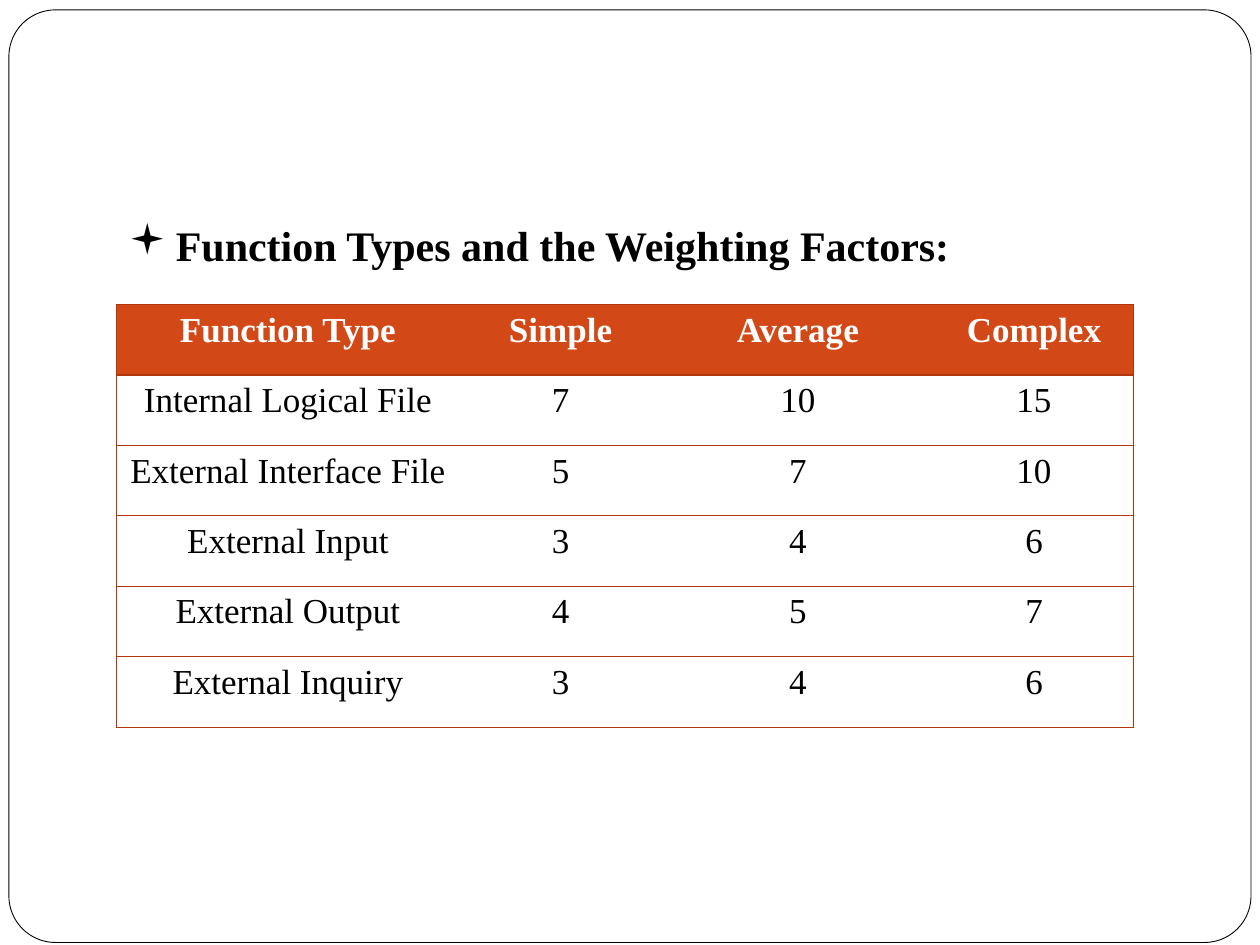
from lxml.etree import SubElement
from pptx import Presentation
from pptx.dml.color import RGBColor
from pptx.enum.shapes import MSO_SHAPE
from pptx.enum.text import MSO_ANCHOR, PP_ALIGN
from pptx.oxml.ns import qn
from pptx.util import Cm, Pt

TITLE = "Function Types and the Weighting Factors:"
ROWS = [
    ("Function Type", "Simple", "Average", "Complex"),
    ("Internal Logical File", "7", "10", "15"),
    ("External Interface File", "5", "7", "10"),
    ("External Input", "3", "4", "6"),
    ("External Output", "4", "5", "7"),
    ("External Inquiry", "3", "4", "6"),
]
COLUMN_WIDTHS = [6.93, 4.06, 5.51, 4.01]
ROW_HEIGHT = 1.42
FONT = "Times New Roman"
BLACK, WHITE, ORANGE, RUST = "000000", "FFFFFF", "D34817", "B1360B"


def paint(color_format, color):
    color_format.rgb = RGBColor.from_string(color)


def fill(target, color):
    target.fill.solid()
    paint(target.fill.fore_color, color)


def style(para, size, color, bold):
    para.font.name = FONT
    para.font.size = Pt(size)
    para.font.bold = bold
    paint(para.font.color, color)


def set_borders(cell, visible_sides):
    properties = cell._tc.get_or_add_tcPr()
    for index, side in enumerate("LRTB"):
        line = SubElement(properties, qn(f"a:ln{side}"), w=str(Pt(0.75)))
        if side in visible_sides:
            solid = SubElement(line, qn("a:solidFill"))
            SubElement(solid, qn("a:srgbClr"), val=RUST)
        else:
            SubElement(line, qn("a:noFill"))
        properties.insert(index, line)


def add_frame(page):
    frame = page.shapes.add_shape(
        MSO_SHAPE.ROUNDED_RECTANGLE, Cm(0.18), Cm(0.2), Cm(25.04), Cm(18.8))
    frame.adjustments[0] = 0.05
    frame.shadow.inherit = False
    fill(frame, WHITE)
    paint(frame.line.color, BLACK)
    frame.line.width = Pt(0.5)
    page.shapes._spTree.insert(2, frame._element)


def add_title(page):
    title = page.shapes.title
    title.left, title.top, title.width, title.height = (
        Cm(2.34), Cm(2.51), Cm(21.59), Cm(3.18))
    box = title.text_frame
    box.text = TITLE
    box.word_wrap = True
    box.vertical_anchor = MSO_ANCHOR.BOTTOM
    box.margin_bottom = Cm(0.25)
    para = box.paragraphs[0]
    para.alignment = PP_ALIGN.LEFT
    properties = para._p.get_or_add_pPr()
    properties.set("marL", str(Cm(0.95)))
    properties.set("indent", str(-Cm(0.95)))
    SubElement(properties, qn("a:buFont"), typeface="Wingdings")
    SubElement(properties, qn("a:buChar"), char="▪")
    style(para, 24, BLACK, True)


def add_factors(page):
    table = page.shapes.add_table(
        len(ROWS), len(COLUMN_WIDTHS), Cm(2.34), Cm(6.14),
        Cm(sum(COLUMN_WIDTHS)), Cm(ROW_HEIGHT * len(ROWS))).table
    table.horz_banding = False
    for column, width in zip(table.columns, COLUMN_WIDTHS):
        column.width = Cm(width)
    for row_index, values in enumerate(ROWS):
        header = row_index == 0
        for column_index, value in enumerate(values):
            cell = table.cell(row_index, column_index)
            cell.text = value
            fill(cell, ORANGE if header else WHITE)
            sides = "TB"
            if column_index == 0:
                sides += "L"
            if column_index == len(values) - 1:
                sides += "R"
            set_borders(cell, sides)
            para = cell.text_frame.paragraphs[0]
            para.alignment = PP_ALIGN.CENTER
            style(para, 20, WHITE if header else BLACK, header)


def main():
    deck = Presentation()
    deck.slide_width, deck.slide_height = Cm(25.4), Cm(19.05)
    page = deck.slides.add_slide(deck.slide_layouts[5])
    add_frame(page)
    add_title(page)
    add_factors(page)
    deck.save("out.pptx")


if __name__ == "__main__":
    main()
